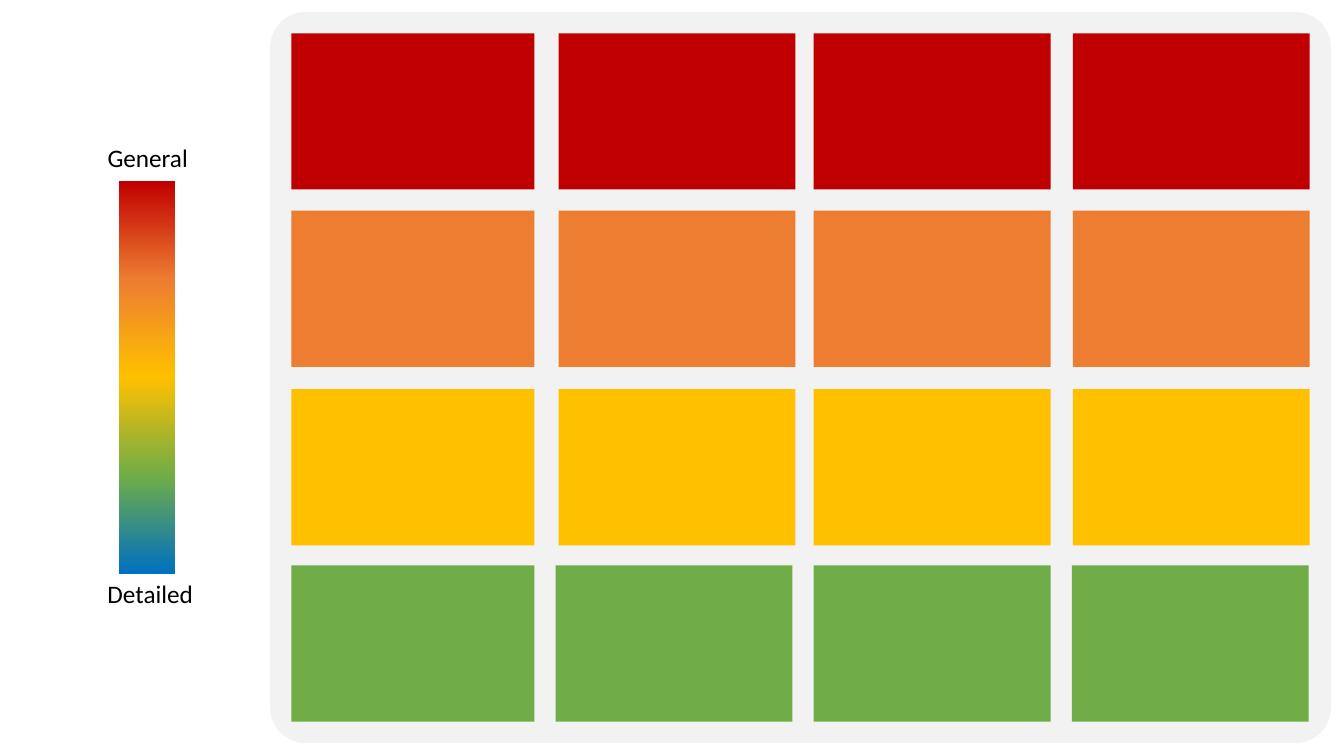
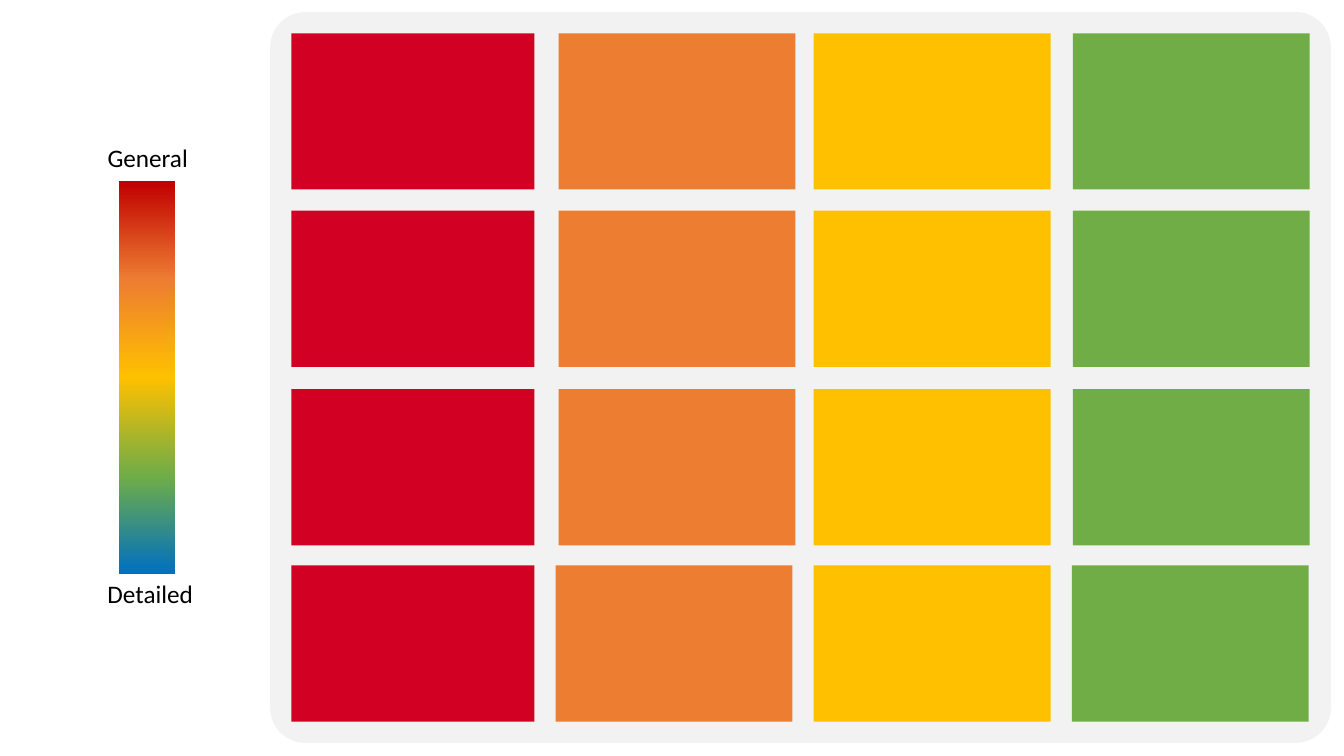
from copy import deepcopy
from dataclasses import dataclass

from pptx import Presentation
from pptx import util as u
from pptx.dml.color import RGBColor
from pptx.enum import shapes, text
from pptx.oxml.ns import qn

PX = u.Inches(1) // 100


@dataclass(frozen=True)
class Theme:
    font: str = "Calibri"
    label_size: int = 18
    ink: str = "000000"
    panel: str = "F2F2F2"
    red: str = "C00000"
    crimson: str = "D20023"
    orange: str = "ED7D31"
    yellow: str = "FFC000"
    green: str = "70AD47"
    blue: str = "0070C0"


THEME = Theme()

PAGE_SIZE = (1333, 750)
PANEL = (268, 12, 1052, 725)
PANEL_ROUNDING = 0.048
COLUMNS = [(289, 241), (554, 235), (807, 235), (1064, 235)]  # left, width
ROW_TOPS = [33, 209, 386, 561]
TILE_HEIGHT = 155
TILE_SHIFTS = {(3, 1): -3, (3, 3): -1}  # (row, column): sideways move

SCALE_BAR = (118, 180, 56, 389)
SCALE_COLOURS = [THEME.red, THEME.orange, THEME.yellow, THEME.green, THEME.blue]
SCALE_LABELS = [
    ("General", (96, 136, 101, 40)),
    ("Detailed", (96, 569, 106, 40)),
]

ROW_COLOURS = [THEME.red, THEME.orange, THEME.yellow, THEME.green]
COLUMN_COLOURS = [THEME.crimson, THEME.orange, THEME.yellow, THEME.green]
TILE_GRIDS = [
    [[colour] * len(COLUMNS) for colour in ROW_COLOURS],
    [COLUMN_COLOURS] * len(ROW_TOPS),
]


def emu(lengths):
    return [length * PX for length in lengths]


def add_block(holder, area, colour=None, kind=shapes.MSO_SHAPE.RECTANGLE):
    block = holder.add_shape(kind, *emu(area))
    block.shadow.inherit = False
    block.line.fill.background()
    if colour:
        block.fill.solid()
        block.fill.fore_color.rgb = RGBColor.from_string(colour)
    return block


def add_tile_panel(page, grid):
    group = page.shapes.add_group_shape().shapes
    panel = add_block(group, PANEL, THEME.panel, shapes.MSO_SHAPE.ROUNDED_RECTANGLE)
    panel.adjustments[0] = PANEL_ROUNDING
    for row, (top, colours) in enumerate(zip(ROW_TOPS, grid)):
        for column, ((left, width), colour) in enumerate(zip(COLUMNS, colours)):
            left += TILE_SHIFTS.get((row, column), 0)
            add_block(group, (left, top, width, TILE_HEIGHT), colour)


def add_scale_bar(page):
    """Draw the bar with its colours evenly spaced from top to bottom."""
    bar = add_block(page.shapes, SCALE_BAR)
    bar.fill.gradient()
    bar.fill.gradient_angle = 270
    stop_list = next(bar.element.spPr.iter(qn("a:gsLst")))
    while len(stop_list) < len(SCALE_COLOURS):
        stop_list.append(deepcopy(stop_list[0]))
    last = len(SCALE_COLOURS) - 1
    for index, (stop, colour) in enumerate(zip(bar.fill.gradient_stops, SCALE_COLOURS)):
        stop.position = index / last
        stop.color.rgb = RGBColor.from_string(colour)


def add_label(page, wording, area):
    box = page.shapes.add_textbox(*emu(area))
    frame = box.text_frame
    frame.word_wrap = False
    frame.auto_size = text.MSO_AUTO_SIZE.SHAPE_TO_FIT_TEXT
    para = frame.paragraphs[0]
    para.text = wording
    para.alignment = text.PP_ALIGN.CENTER
    para.font.name = THEME.font
    para.font.size = u.Pt(THEME.label_size)
    para.font.color.rgb = RGBColor.from_string(THEME.ink)


def main():
    deck = Presentation()
    deck.slide_width, deck.slide_height = emu(PAGE_SIZE)
    blank = deck.slide_layouts.get_by_name("Blank")
    for grid in TILE_GRIDS:
        page = deck.slides.add_slide(blank)
        add_tile_panel(page, grid)
        add_scale_bar(page)
        for wording, area in SCALE_LABELS:
            add_label(page, wording, area)
    deck.save("out.pptx")


if __name__ == "__main__":
    main()
